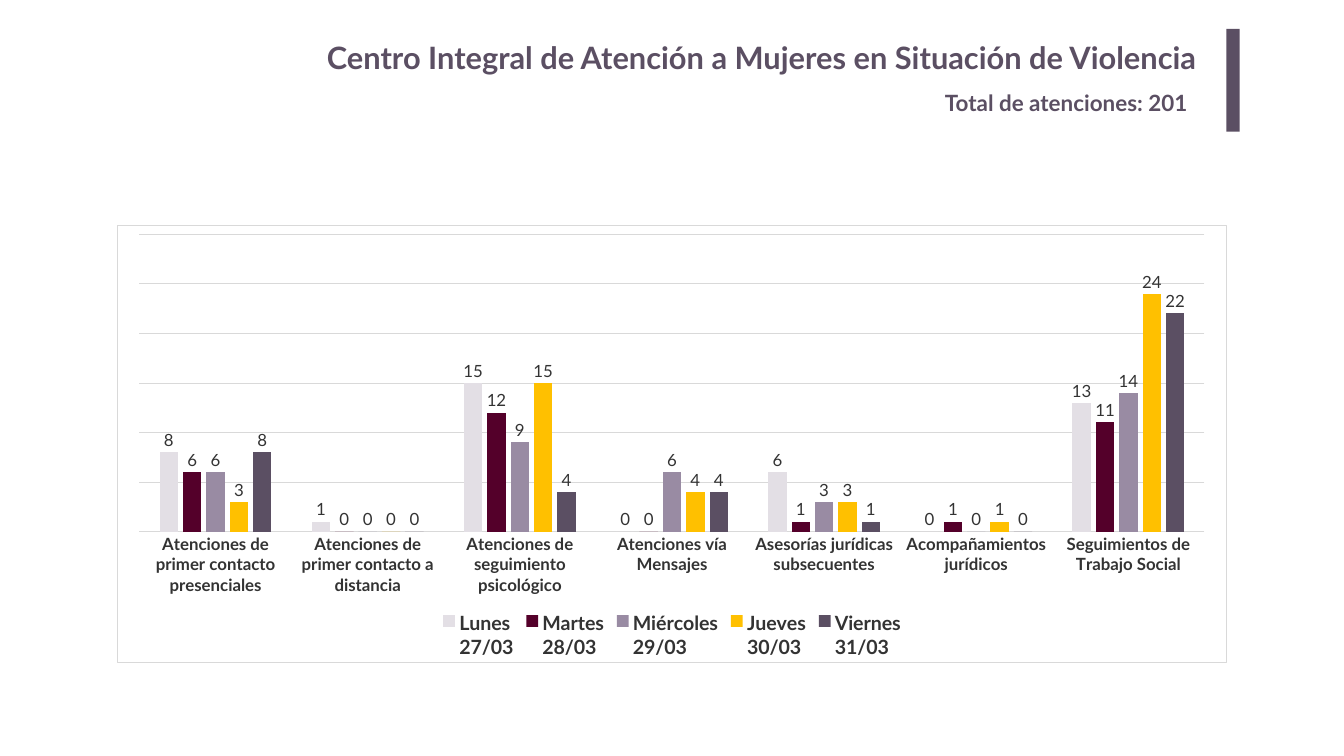
from lxml import etree
from pptx import Presentation
from pptx.chart.data import CategoryChartData
from pptx.dml.color import RGBColor
from pptx.enum.chart import XL_CHART_TYPE, XL_LABEL_POSITION, XL_LEGEND_POSITION, XL_TICK_MARK
from pptx.enum.shapes import MSO_SHAPE
from pptx.enum.text import MSO_ANCHOR, MSO_AUTO_SIZE, PP_ALIGN
from pptx.oxml.ns import qn
from pptx.util import Pt

PX = 9525
FONT = "Lato"
PLUM, INK, RULE, WHITE = "5B4F63", "333333", "D9D9D9", "FFFFFF"
COLUMN = XL_CHART_TYPE.COLUMN_CLUSTERED
OUTSIDE = XL_LABEL_POSITION.OUTSIDE_END
BOTTOM = XL_LEGEND_POSITION.BOTTOM
NO_TICK = XL_TICK_MARK.NONE
RECT = MSO_SHAPE.RECTANGLE
TOP = MSO_ANCHOR.TOP
NO_FIT = MSO_AUTO_SIZE.NONE
LEFT, RIGHT = PP_ALIGN.LEFT, PP_ALIGN.RIGHT

KINDS = [
    "Atenciones de primer contacto presenciales",
    "Atenciones de primer contacto a distancia",
    "Atenciones de seguimiento psicológico",
    "Atenciones vía Mensajes",
    "Asesorías jurídicas subsecuentes",
    "Acompañamientos jurídicos",
    "Seguimientos de Trabajo Social",
]
DAYS = [
    ("Lunes\n27/03", "E3DFE5", (8, 1, 15, 0, 6, 0, 13)),
    ("Martes\n28/03", "54002A", (6, 0, 12, 0, 1, 1, 11)),
    ("Miércoles\n29/03", "998BA3", (6, 0, 9, 6, 3, 0, 14)),
    ("Jueves\n30/03", "FFC000", (3, 0, 15, 4, 3, 1, 24)),
    ("Viernes\n31/03", PLUM, (8, 0, 4, 4, 1, 0, 22)),
]
FRAME = (
    '<c:spPr xmlns:c="http://schemas.openxmlformats.org/drawingml/2006/chart"'
    ' xmlns:a="http://schemas.openxmlformats.org/drawingml/2006/main">'
    '<a:solidFill><a:srgbClr val="{}"/></a:solidFill>'
    '<a:ln w="9525"><a:solidFill><a:srgbClr val="{}"/></a:solidFill></a:ln>'
    "</c:spPr>"
)


def px(*nums):
    """Turn pixel lengths into EMU."""
    return [n * PX for n in nums]


def paint(fill, color):
    """Give a fill one solid colour."""
    fill.solid()
    fill.fore_color.rgb = RGBColor.from_string(color)


def style(font, size, color, bold=False):
    """Set face, size, colour and weight of a font."""
    font.name, font.size, font.bold = FONT, Pt(size), bold
    font.color.rgb = RGBColor.from_string(color)


def rule(line):
    """Draw a line as a thin grey rule."""
    paint(line.fill, RULE)
    line.width = Pt(0.75)


def write(shape, box, text, size, align, pad):
    """Place a shape and fill it with one bold line of text."""
    shape.left, shape.top, shape.width, shape.height = px(*box)
    frame = shape.text_frame
    frame.word_wrap, frame.auto_size = True, NO_FIT
    frame.vertical_anchor = TOP
    frame.margin_left = frame.margin_right = pad * 2 * PX
    frame.margin_top = frame.margin_bottom = pad * PX
    para = frame.paragraphs[0]
    para.alignment = align
    run = para.add_run()
    run.text = text
    style(run.font, size, PLUM, True)


def add_bar(slide, box):
    """Add a plain accent bar."""
    bar = slide.shapes.add_shape(RECT, *px(*box))
    bar.shadow.inherit = False
    paint(bar.fill, PLUM)
    bar.line.fill.background()


def set_axes(chart):
    """Format the level, wrapping category axis and the hidden value axis."""
    cat, val = chart.category_axis, chart.value_axis
    cat.major_tick_mark = cat.minor_tick_mark = NO_TICK
    style(cat.tick_labels.font, 24, INK, True)
    body = cat._element.find(qn("c:txPr")).find(qn("a:bodyPr"))
    body.set("rot", "0")
    body.set("vert", "horz")
    rule(cat.format.line)
    val.minimum_scale, val.maximum_scale, val.major_unit = 0, 30, 5
    val.has_major_gridlines = True
    rule(val.major_gridlines.format.line)
    val.visible = False


def add_chart(slide, box):
    """Add the column chart of services by day."""
    data = CategoryChartData()
    data.categories = KINDS
    for name, _, nums in DAYS:
        data.add_series(name, nums)
    chart = slide.shapes.add_chart(COLUMN, *px(*box), data).chart
    style(chart.font, 10, "000000")
    chart.has_title = False
    chart.has_legend = True
    chart.legend.position = BOTTOM
    chart.legend.include_in_layout = False
    style(chart.legend.font, 28, INK, True)
    set_axes(chart)
    plot = chart.plots[0]
    plot.gap_width, plot.overlap, plot.vary_by_categories = 219, -27, False
    for item, (_, color, _) in zip(plot.series, DAYS):
        paint(item.format.fill, color)
        item.invert_if_negative = False
        labels = item.data_labels
        labels.show_value, labels.position = True, OUTSIDE
        style(labels.font, 24, INK)
    area = plot._element.getparent().getparent()
    area.addnext(etree.fromstring(FRAME.format(WHITE, RULE)))


def main():
    """Build and save the slide."""
    deck = Presentation()
    deck.slide_width, deck.slide_height = px(2560, 1440)
    slide = deck.slides.add_slide(deck.slide_layouts[5])
    paint(slide.background.fill, WHITE)
    write(slide.shapes.title, (351, 64, 1949, 98),
          "Centro Integral de Atención a Mujeres en Situación de Violencia",
          44, RIGHT, 10)
    add_bar(slide, (2336, 55, 25, 196))
    note = slide.shapes.add_textbox(0, 0, 0, 0)
    write(note, (1790, 164, 510, 62), "Total de atenciones: 201", 32, LEFT, 5)
    add_chart(slide, (223, 429, 2114, 833))
    deck.save("out.pptx")


if __name__ == "__main__":
    main()
